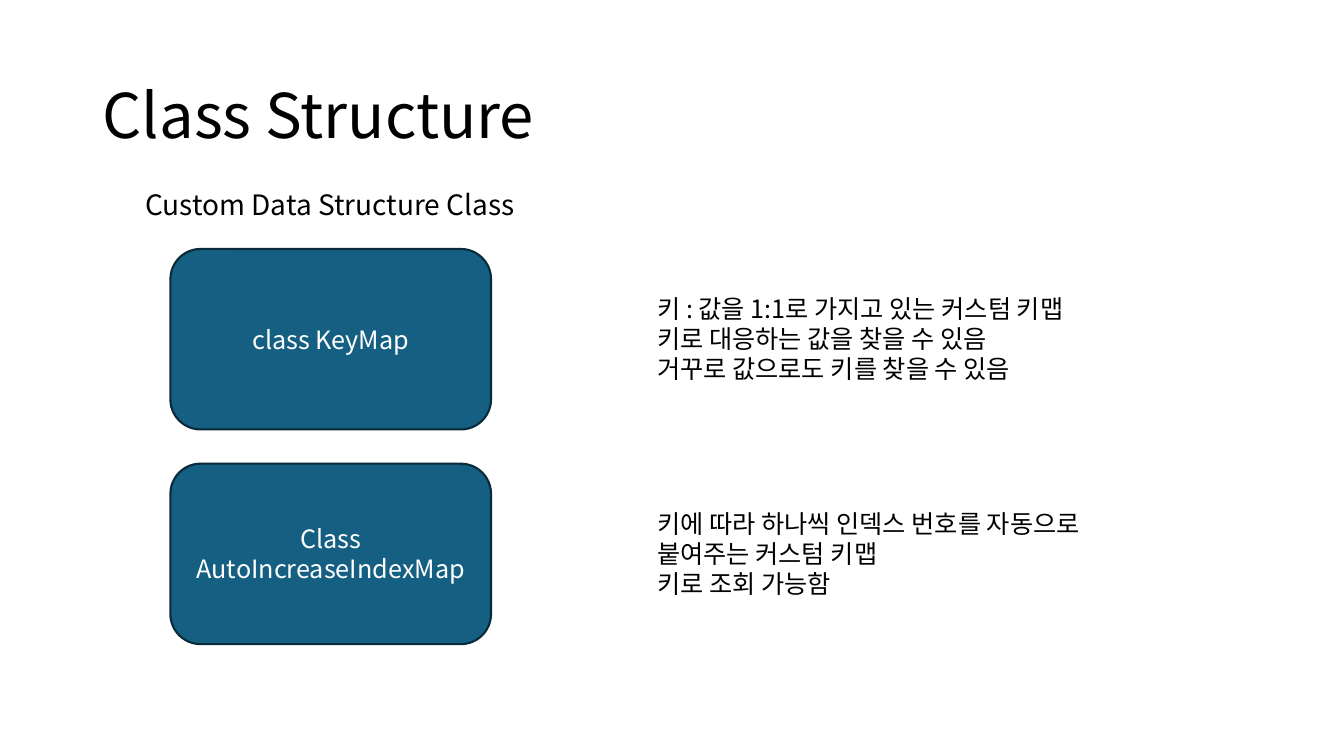
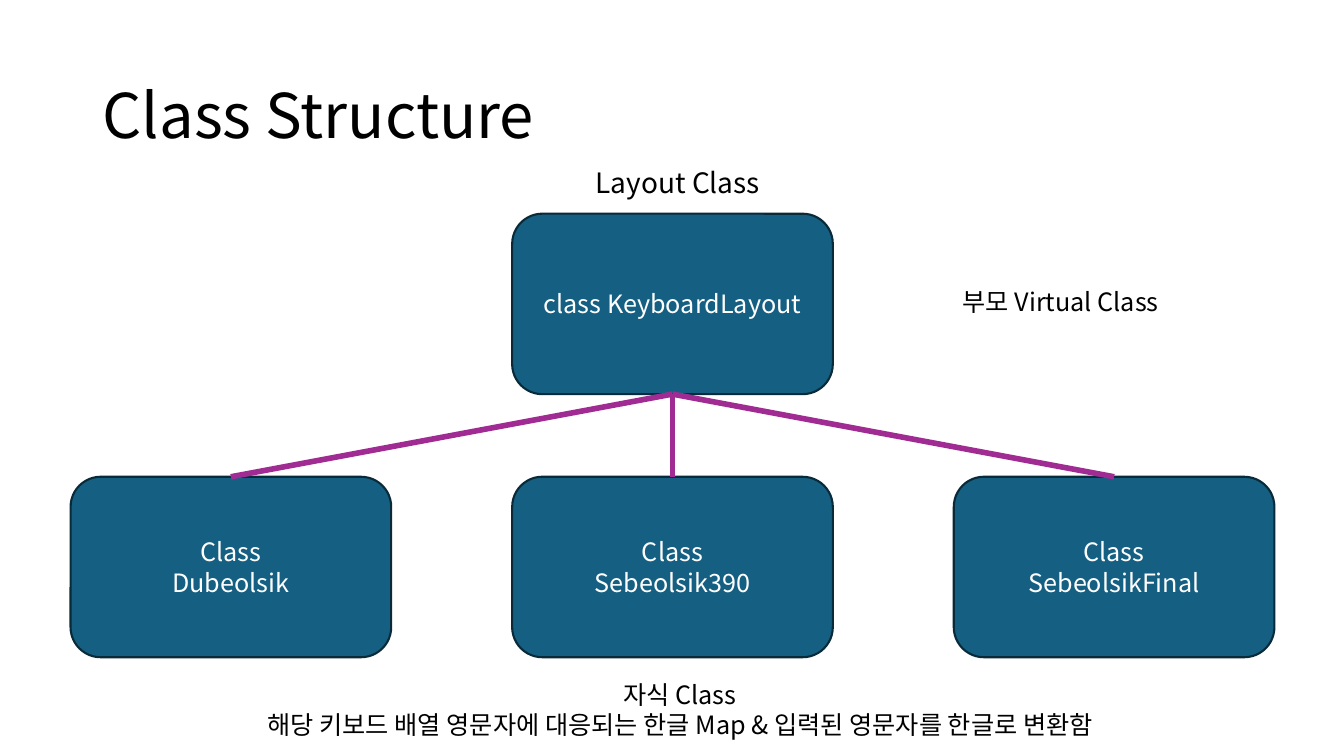
import pptx
import pptx.dml.color
import pptx.enum.shapes
import pptx.enum.text
import pptx.oxml.ns
import pptx.util
from lxml import etree

Inches = pptx.util.Inches
Pt = pptx.util.Pt
RGBColor = pptx.dml.color.RGBColor
ALIGN = pptx.enum.text.PP_ALIGN
ANCHOR = pptx.enum.text.MSO_ANCHOR

# Shared look
FONT = "Noto Sans CJK KR"
BLACK = RGBColor(0x00, 0x00, 0x00)
WHITE = RGBColor(0xFF, 0xFF, 0xFF)
BOX_FILL = RGBColor(0x15, 0x60, 0x82)
BOX_LINE = RGBColor(0x09, 0x2A, 0x39)
LINK_COLOR = RGBColor(0xA0, 0x2B, 0x93)
BOX_WIDTH, BOX_HEIGHT = 3.18, 1.79
LINE_PITCH = {44: 53, 20: 25, 18: 21.5}  # text size to line spacing, points


def write_lines(shape, lines, size, color, align, anchor):
    """Fill a shape with one paragraph per line."""
    frame = shape.text_frame
    frame.word_wrap = True
    frame.vertical_anchor = anchor
    font_format = {"name": FONT, "size": Pt(size)}
    for index, line in enumerate(lines):
        paragraph = frame.paragraphs[0] if index == 0 else frame.add_paragraph()
        paragraph.alignment = align
        paragraph.line_spacing = Pt(LINE_PITCH[size])
        run = paragraph.add_run()
        run.text = line
        for name, value in font_format.items():
            setattr(run.font, name, value)
        run.font.color.rgb = color
        # Korean characters take their font from a:ea
        east_asian = etree.SubElement(run.font._element, pptx.oxml.ns.qn("a:ea"))
        east_asian.set("typeface", FONT)


def add_text(slide, left, top, width, height, lines, size=18,
             align=ALIGN.LEFT, anchor=ANCHOR.TOP):
    shape = slide.shapes.add_textbox(
        Inches(left), Inches(top), Inches(width), Inches(height))
    write_lines(shape, lines, size, BLACK, align, anchor)


def add_class_box(slide, left, top, lines):
    shape = slide.shapes.add_shape(
        pptx.enum.shapes.MSO_SHAPE.ROUNDED_RECTANGLE,
        Inches(left), Inches(top), Inches(BOX_WIDTH), Inches(BOX_HEIGHT))
    shape.shadow.inherit = False
    shape.fill.solid()
    shape.fill.fore_color.rgb = BOX_FILL
    shape.line.color.rgb = BOX_LINE
    shape.line.width = Pt(1.5)
    write_lines(shape, lines, 18, WHITE, ALIGN.CENTER, ANCHOR.MIDDLE)
    return shape


def add_link(slide, parent, child):
    """Join the bottom of the parent box to the top of the child box."""
    connector = slide.shapes.add_connector(
        pptx.enum.shapes.MSO_CONNECTOR.STRAIGHT, 0, 0, 0, 0)
    connector.begin_connect(parent, 2)
    connector.end_connect(child, 0)
    connector.line.color.rgb = LINK_COLOR
    connector.line.width = Pt(4)
    etree.SubElement(connector._element.spPr, pptx.oxml.ns.qn("a:effectLst"))


def add_titled_slide(presentation):
    slide = presentation.slides.add_slide(presentation.slide_layouts[6])
    add_text(slide, 0.92, 0.4, 11.5, 1.45, ["Class Structure"], size=44,
             anchor=ANCHOR.MIDDLE)
    return slide


def build_data_structures(presentation):
    slide = add_titled_slide(presentation)
    add_text(slide, 1.34, 1.8, 3.95, 0.44, ["Custom Data Structure Class"], size=20)
    rows = [
        (["class KeyMap"],
         ["키 : 값을 1:1로 가지고 있는 커스텀 키맵",
          "키로 대응하는 값을 찾을 수 있음",
          "거꾸로 값으로도 키를 찾을 수 있음"]),
        (["Class", "AutoIncreaseIndexMap"],
         ["키에 따라 하나씩 인덱스 번호를 자동으로",
          "붙여주는 커스텀 키맵",
          "키로 조회 가능함"]),
    ]
    for index, (class_name, description) in enumerate(rows):
        top = 2.47 + 2.13 * index
        add_class_box(slide, 1.69, top, class_name)
        add_text(slide, 6.42, top + 0.39, 5.8, 1.01, description)


def build_layout_classes(presentation):
    slide = add_titled_slide(presentation)
    center_left, column_pitch = 5.08, 4.38

    # Parent class
    add_text(slide, 5.81, 1.58, 1.95, 0.44, ["Layout Class"], size=20)
    parent = add_class_box(slide, center_left, 2.12, ["class KeyboardLayout"])
    add_text(slide, 9.45, 2.79, 3.88, 0.71, ["부모 Virtual Class"])

    # Child classes
    children = [
        add_class_box(slide, center_left + column_pitch * offset, 4.73, ["Class", name])
        for offset, name in ((-1, "Dubeolsik"), (0, "Sebeolsik390"), (1, "SebeolsikFinal"))
    ]
    for child in children:
        add_link(slide, parent, child)
    add_text(slide, 0.7, 6.69, 12.09, 0.81,
             ["자식 Class",
              "해당 키보드 배열 영문자에 대응되는 한글 Map & 입력된 영문자를 한글로 변환함"],
             align=ALIGN.CENTER)


def main():
    presentation = pptx.Presentation()
    presentation.slide_width = Inches(13.33)
    presentation.slide_height = Inches(7.5)
    build_data_structures(presentation)
    build_layout_classes(presentation)
    presentation.save("out.pptx")


if __name__ == "__main__":
    main()
